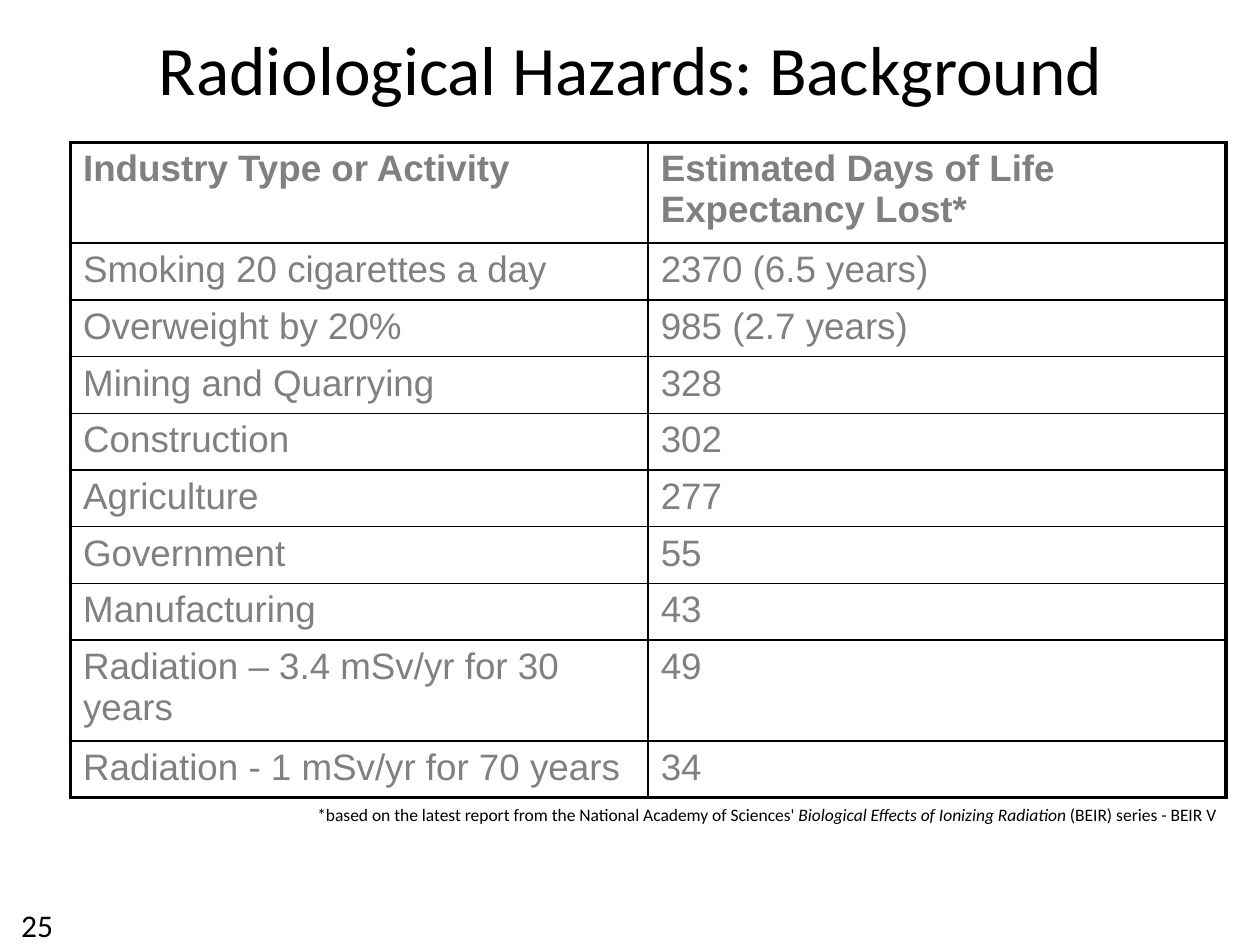
from lxml.etree import SubElement
from pptx import Presentation
from pptx.dml.color import RGBColor
from pptx.enum.text import MSO_ANCHOR, PP_ALIGN
from pptx.oxml.ns import qn
from pptx.util import Inches, Pt

BLACK = RGBColor(0x00, 0x00, 0x00)
GRAY = RGBColor(0x80, 0x80, 0x80)

# Content
TITLE = "Radiological Hazards: Background"
ROWS = [
    ("Industry Type or Activity", "Estimated Days of Life Expectancy Lost*"),
    ("Smoking 20 cigarettes a day", "2370 (6.5 years)"),
    ("Overweight by 20%", "985 (2.7 years)"),
    ("Mining and Quarrying", "328"),
    ("Construction", "302"),
    ("Agriculture", "277"),
    ("Government", "55"),
    ("Manufacturing", "43"),
    ("Radiation – 3.4 mSv/yr for 30 years", "49"),
    ("Radiation - 1 mSv/yr for 70 years", "34"),
]
TWO_LINE_ROWS = (0, 8)
FOOTNOTE = [  # text, italic
    ("*based on the latest report from the National Academy of Sciences' ", False),
    ("Biological Effects of Ionizing Radiation", True),
    (" (BEIR) series - BEIR V", False),
]
PAGE_NUMBER = "25"
OUTER_WIDTH, INNER_WIDTH = 2.25, 1


def format_font(font, name, size, color):
    font.name = name
    font.size = Pt(size)
    font.color.rgb = color


def set_borders(cell, outer_sides):
    properties = cell._tc.get_or_add_tcPr()
    for position, side in enumerate(("L", "R", "T", "B")):
        width = OUTER_WIDTH if side in outer_sides else INNER_WIDTH
        line = properties.makeelement(qn(f"a:ln{side}"), {"w": str(Pt(width))})
        properties.insert(position, line)
        fill = SubElement(line, qn("a:solidFill"))
        SubElement(fill, qn("a:srgbClr"), val=str(BLACK))


def add_text(slide, left, top, width, height, parts, size, wrap):
    box = slide.shapes.add_textbox(
        Inches(left), Inches(top), Inches(width), Inches(height))
    box.text_frame.word_wrap = wrap
    for text, italic in parts:
        run = box.text_frame.paragraphs[0].add_run()
        run.text = text
        run.font.italic = italic
        format_font(run.font, "Calibri", size, BLACK)


presentation = Presentation()
presentation.slide_width = Inches(10)
presentation.slide_height = Inches(7.5)
slide = presentation.slides.add_slide(presentation.slide_layouts[5])

# Title
title = slide.shapes.title
title.left, title.top = Inches(0.72), Inches(0.25)
title.width, title.height = Inches(8.57), Inches(0.58)
title.text_frame.text = TITLE
title.text_frame.vertical_anchor = MSO_ANCHOR.MIDDLE
title_paragraph = title.text_frame.paragraphs[0]
title_paragraph.alignment = PP_ALIGN.CENTER
format_font(title_paragraph.runs[0].font, "Calibri", 39.6, BLACK)

# Table
table = slide.shapes.add_table(
    len(ROWS), 2, Inches(0.56), Inches(1.13), Inches(9.17), Inches(5.21)).table
table.horz_banding = False
for row_index, values in enumerate(ROWS):
    table.rows[row_index].height = Inches(0.8 if row_index in TWO_LINE_ROWS else 0.45)
    for column_index, value in enumerate(values):
        cell = table.cell(row_index, column_index)
        cell.text_frame.text = value
        font = cell.text_frame.paragraphs[0].runs[0].font
        format_font(font, "Arial", 21, GRAY)
        font.bold = row_index == 0
        cell.fill.background()
        outer_sides = "LR"[column_index]
        if row_index == 0:
            outer_sides += "T"
        if row_index == len(ROWS) - 1:
            outer_sides += "B"
        set_borders(cell, outer_sides)

# Page number and footnote
add_text(slide, 0.07, 7.14, 2.06, 0.24, [(PAGE_NUMBER, False)], 18, True)
add_text(slide, 2.42, 6.33, 7.37, 0.27, FOOTNOTE, 10, False)

presentation.save("out.pptx")
